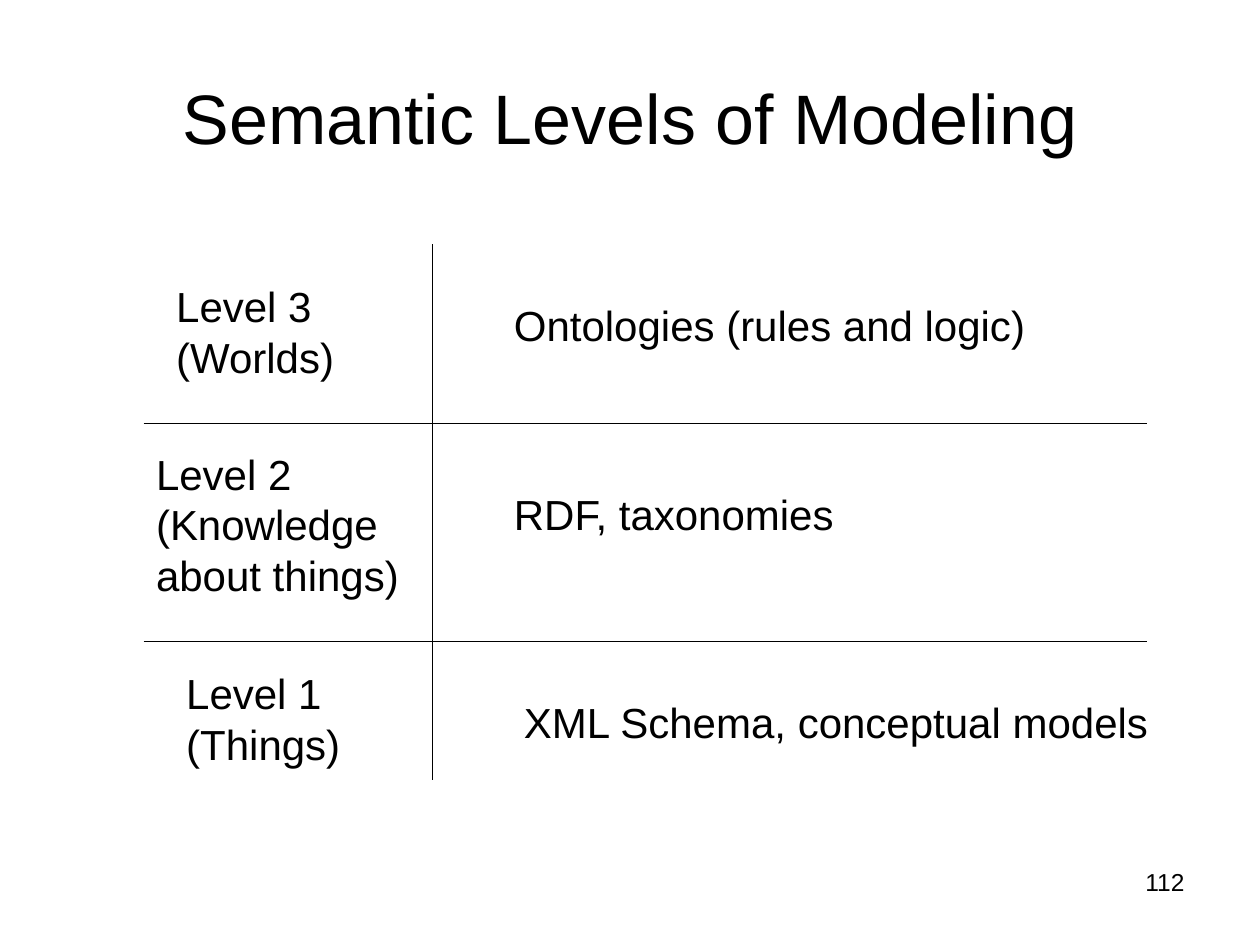
from collections import namedtuple
from dataclasses import dataclass

from lxml import etree
from pptx import Presentation
from pptx import util as u
from pptx.dml.color import RGBColor
from pptx.enum import shapes, text
from pptx.oxml.ns import qn

Box = namedtuple("Box", "left top width height")
Level = namedtuple("Level", "height label label_inset topic topic_inset")


@dataclass(frozen=True)
class Theme:
    font: str = "Arial"
    ink: RGBColor = RGBColor(0, 0, 0)
    paper: RGBColor = RGBColor(255, 255, 255)
    title: int = 40
    body: int = 24
    number: int = 14
    rule: float = 0.75
    line_height: float = 0.4
    padding: float = 0.1


THEME = Theme()

LEVELS = [
    Level(1.42, ("Level 3\n(Worlds)", 1.48), (0.16, 0.24),
          ("Ontologies (rules and logic)", 4.28), (0.55, 0.39)),
    Level(1.73, ("Level 2\n(Knowledge\nabout things)", 2.15), (0, 0.15),
          ("RDF, taxonomies", 2.79), (0.55, 0.47)),
    Level(1.1, ("Level 1\n(Things)", 1.44), (0.24, 0.16),
          ("XML Schema, conceptual models", 5.18), (0.63, 0.39)),
]


def place(shape, box):
    shape.left, shape.top, shape.width, shape.height = map(u.Inches, box)


def write(shape, words, size, align):
    frame = shape.text_frame
    frame.text = words
    for paragraph in frame.paragraphs:
        paragraph.alignment = align
        font = paragraph.runs[0].font
        font.name, font.size = THEME.font, u.Pt(size)
        font.color.rgb = THEME.ink


def add_entry(slide, left, top, entry):
    words, width = entry
    lines = words.count("\n") + 1
    height = lines * THEME.line_height + THEME.padding
    entry_box = slide.shapes.add_textbox(*map(u.Inches, (left, top, width, height)))
    write(entry_box, words, THEME.body, text.PP_ALIGN.LEFT)
    entry_box.text_frame.word_wrap = False
    entry_box.text_frame.auto_size = text.MSO_AUTO_SIZE.SHAPE_TO_FIT_TEXT


def add_rule(slide, *ends):
    rule = slide.shapes.add_connector(
        shapes.MSO_CONNECTOR.STRAIGHT, *map(u.Inches, ends))
    rule.line.color.rgb = THEME.ink
    rule.line.width = u.Pt(THEME.rule)
    etree.SubElement(rule._element.spPr, qn("a:effectLst"))


def add_title(slide, box):
    title = slide.shapes.title
    place(title, box)
    write(title, "Semantic Levels of Modeling", THEME.title, text.PP_ALIGN.CENTER)
    title.text_frame.vertical_anchor = text.MSO_ANCHOR.MIDDLE


def add_levels(slide, box, label_column):
    divider = box.left + label_column
    right, bottom = box.left + box.width, box.top + box.height
    top = box.top
    for index, level in enumerate(LEVELS):
        if index:
            add_rule(slide, box.left, top, right, top)
        for edge, entry, (inset, drop) in (
            (box.left, level.label, level.label_inset),
            (divider, level.topic, level.topic_inset),
        ):
            add_entry(slide, edge + inset, top + drop, entry)
        top += level.height
    add_rule(slide, divider, box.top, divider, bottom)


def add_page_number(slide, box):
    number = slide.shapes.add_textbox(*map(u.Inches, box))
    write(number, "112", THEME.number, text.PP_ALIGN.RIGHT)
    number.text_frame.word_wrap = True


def main():
    deck = Presentation()
    deck.slide_width, deck.slide_height = u.Inches(10), u.Inches(7.5)
    slide = deck.slides.add_slide(deck.slide_layouts.get_by_name("Title Only"))
    slide.background.fill.solid()
    slide.background.fill.fore_color.rgb = THEME.paper
    add_title(slide, Box(0.5, 0.3, 9, 1.25))
    levels_height = sum(level.height for level in LEVELS)
    add_levels(slide, Box(1.14, 1.94, 7.96, levels_height), label_column=2.29)
    add_page_number(slide, Box(7.17, 6.83, 2.33, 0.52))
    deck.save("out.pptx")


if __name__ == "__main__":
    main()
